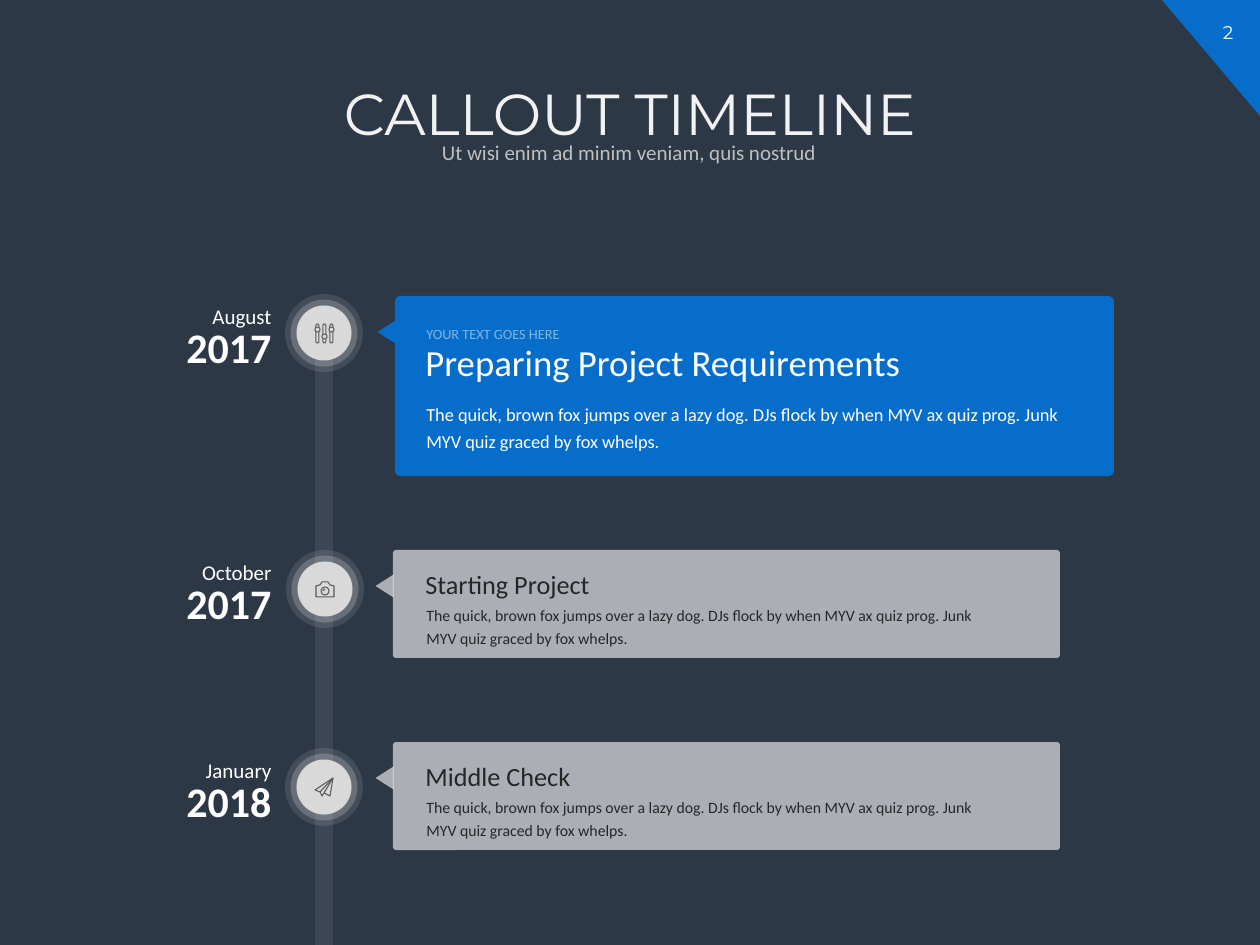
from lxml.etree import SubElement
from pptx import Presentation
from pptx.dml.color import RGBColor
from pptx.enum.shapes import MSO_SHAPE
from pptx.enum.text import MSO_ANCHOR, MSO_AUTO_SIZE, PP_ALIGN
from pptx.oxml.ns import qn
from pptx.util import Emu, Pt

PX = 914400 / 126
COLORS = {
    "background": "2D3847", "accent": "066DCA", "white": "FFFFFF",
    "title": "F2F2F2", "subtitle": "BFBFBF", "disc": "D9D9D9",
    "icon": "595959", "dark": "262626",
}
BODY = ("The quick, brown fox jumps over a lazy dog. DJs flock by when MYV ax "
        "quiz prog. Junk MYV quiz graced by fox whelps.")


def px(length):
    return Emu(round(length * PX))


def color(name):
    return RGBColor.from_string(COLORS[name])


def set_opacity(shape, percent):
    for node in shape.element.iter(qn("a:srgbClr")):
        SubElement(node, qn("a:alpha")).set("val", str(percent * 1000))


def place(shape, left, top, width, height):
    shape.left, shape.top = px(left), px(top)
    shape.width, shape.height = px(width), px(height)


def add_filled(page, kind, frame, fill, opacity=100, rotation=0, corner=None):
    shape = page.shapes.add_shape(kind, *map(px, frame))
    shape.shadow.inherit = False
    shape.fill.solid()
    shape.fill.fore_color.rgb = color(fill)
    shape.line.fill.background()
    shape.rotation = rotation
    if corner is not None:
        shape.adjustments[0] = corner
    if opacity < 100:
        set_opacity(shape, opacity)
    return shape


def draw_outline(shape):
    shape.shadow.inherit = False
    shape.line.color.rgb = color("icon")
    shape.line.width = Pt(0.6)


def write_text(box, text, size, fill="white", font="Calibri", bold=False,
               align=PP_ALIGN.LEFT, anchor=MSO_ANCHOR.TOP, spacing=1.0, opacity=100):
    frame = box.text_frame
    frame.word_wrap = True
    frame.auto_size = MSO_AUTO_SIZE.NONE
    frame.vertical_anchor = anchor
    para = frame.paragraphs[0]
    para.alignment = align
    para.line_spacing = spacing
    span = para.add_run()
    span.text = text
    span.font.name = font
    span.font.size = Pt(size)
    span.font.bold = bold
    span.font.color.rgb = color(fill)
    if opacity < 100:
        set_opacity(box, opacity)


def add_text(page, frame, text, size, **style):
    box = page.shapes.add_textbox(*map(px, frame))
    write_text(box, text, size, **style)


def add_icon_shape(page, kind, frame, fill=None, rotation=0):
    shape = page.shapes.add_shape(kind, *map(px, frame))
    shape.rotation = rotation
    draw_outline(shape)
    if fill:
        shape.fill.solid()
        shape.fill.fore_color.rgb = color(fill)
    elif kind != MSO_SHAPE.ARC:
        shape.fill.background()
    return shape


def add_icon_path(page, x, y, outline, folds=()):
    """Draw a closed outline and open fold lines around the point x, y."""
    points = [(x + dx, y + dy) for dx, dy in outline]
    builder = page.shapes.build_freeform(*points[0], scale=PX)
    builder.add_line_segments(points[1:], close=True)
    for start, end in folds:
        builder.move_to(x + start[0], y + start[1])
        builder.add_line_segments([(x + end[0], y + end[1])], close=False)
    shape = builder.convert_to_shape()
    shape.fill.background()
    draw_outline(shape)


def add_sliders_icon(page, x, y):
    for index, knob_top in enumerate((-6, 1, -6)):
        left = x - 9 + 7 * index
        shaft = add_icon_shape(page, MSO_SHAPE.ROUNDED_RECTANGLE, (left + 1, y - 9, 3, 19))
        shaft.adjustments[0] = 0.5
        add_icon_shape(page, MSO_SHAPE.OVAL, (left, y + knob_top, 5, 5), fill="disc")


def add_camera_icon(page, x, y):
    add_icon_path(page, x, y, [(-9, -3), (-5, -4), (-3, -7), (3, -7), (5, -4),
                               (9, -3), (9, 8), (-9, 8)])
    add_icon_shape(page, MSO_SHAPE.OVAL, (x - 4, y - 2, 8, 8))
    add_icon_shape(page, MSO_SHAPE.ARC, (x - 2, y, 4, 4), rotation=270)


def add_plane_icon(page, x, y):
    tip = (9, -9)
    add_icon_path(page, x, y, [tip, (-9, 3), (-4, 5), (-2, 9), (0, 6), (6, 9)],
                  folds=[(tip, (-4, 5)), (tip, (0, 6))])


def add_marker(page, x, y, month, year, add_icon):
    """Date on the left, ringed disc with its icon on the bar."""
    add_text(page, (120, y - 18, 164, 63), year, 24, bold=True, align=PP_ALIGN.RIGHT)
    add_text(page, (134, y - 41, 150, 42), month, 12, align=PP_ALIGN.RIGHT, spacing=1.2)
    for size, opacity in ((78, 13), (67, 25), (55, 100)):
        add_filled(page, MSO_SHAPE.OVAL, (x - size / 2, y - size / 2, size, size),
                   "disc", opacity)
    add_icon(page, x, y)


def add_callout(page, left, top, width, height, fill, opacity=100):
    add_filled(page, MSO_SHAPE.ROUNDED_RECTANGLE, (left, top, width, height),
               fill, opacity, corner=0.03)
    add_filled(page, MSO_SHAPE.ISOSCELES_TRIANGLE, (left - 20, top + 27, 23, 18),
               fill, opacity, rotation=270)


def add_main_callout(page, top):
    add_callout(page, 395, top, 719, 180, "accent")
    add_text(page, (414, top + 97, 680, 67), BODY, 10.5, spacing=1.2)
    add_text(page, (413, top + 38, 663, 57), "Preparing Project Requirements", 21)
    add_text(page, (414, top + 20, 680, 34), "YOUR TEXT GOES HERE", 8.2,
             spacing=1.2, opacity=50)


def add_small_callout(page, top, heading):
    add_callout(page, 393, top, 667, 108, "white", opacity=60)
    add_text(page, (414, top + 46, 582, 58), BODY, 9, fill="dark", spacing=1.2)
    add_text(page, (413, top + 12, 663, 44), heading, 15, fill="dark")


def add_header(page):
    # Page number corner
    add_filled(page, MSO_SHAPE.RIGHT_TRIANGLE, (1162, 0, 98, 116), "accent", rotation=180)
    add_text(page, (1196, 15, 64, 35), "2", 10.5, font="Montserrat", align=PP_ALIGN.CENTER)
    # Title and subtitle
    title = page.shapes.title
    place(title, 72, 79, 1116, 92)
    write_text(title, "CALLOUT TIMELINE", 33, fill="title", font="Montserrat",
               align=PP_ALIGN.CENTER, spacing=0.9)
    add_text(page, (175, 137, 908, 33), "Ut wisi enim ad minim veniam, quis nostrud", 12,
             fill="subtitle", align=PP_ALIGN.CENTER, anchor=MSO_ANCHOR.MIDDLE, spacing=0.9)


def main():
    deck = Presentation()
    deck.slide_width, deck.slide_height = px(1260), px(945)
    page = deck.slides.add_slide(deck.slide_layouts[5])
    page.background.fill.solid()
    page.background.fill.fore_color.rgb = color("background")
    add_header(page)

    # Timeline bar and its dates
    add_filled(page, MSO_SHAPE.RECTANGLE, (315, 317, 18, 628), "disc", opacity=9)
    add_marker(page, 324, 333, "August", "2017", add_sliders_icon)
    add_marker(page, 325, 589, "October", "2017", add_camera_icon)
    add_marker(page, 324, 787, "January", "2018", add_plane_icon)

    # Callouts
    add_main_callout(page, 296)
    add_small_callout(page, 550, "Starting Project")
    add_small_callout(page, 742, "Middle Check")
    deck.save("out.pptx")


if __name__ == "__main__":
    main()
